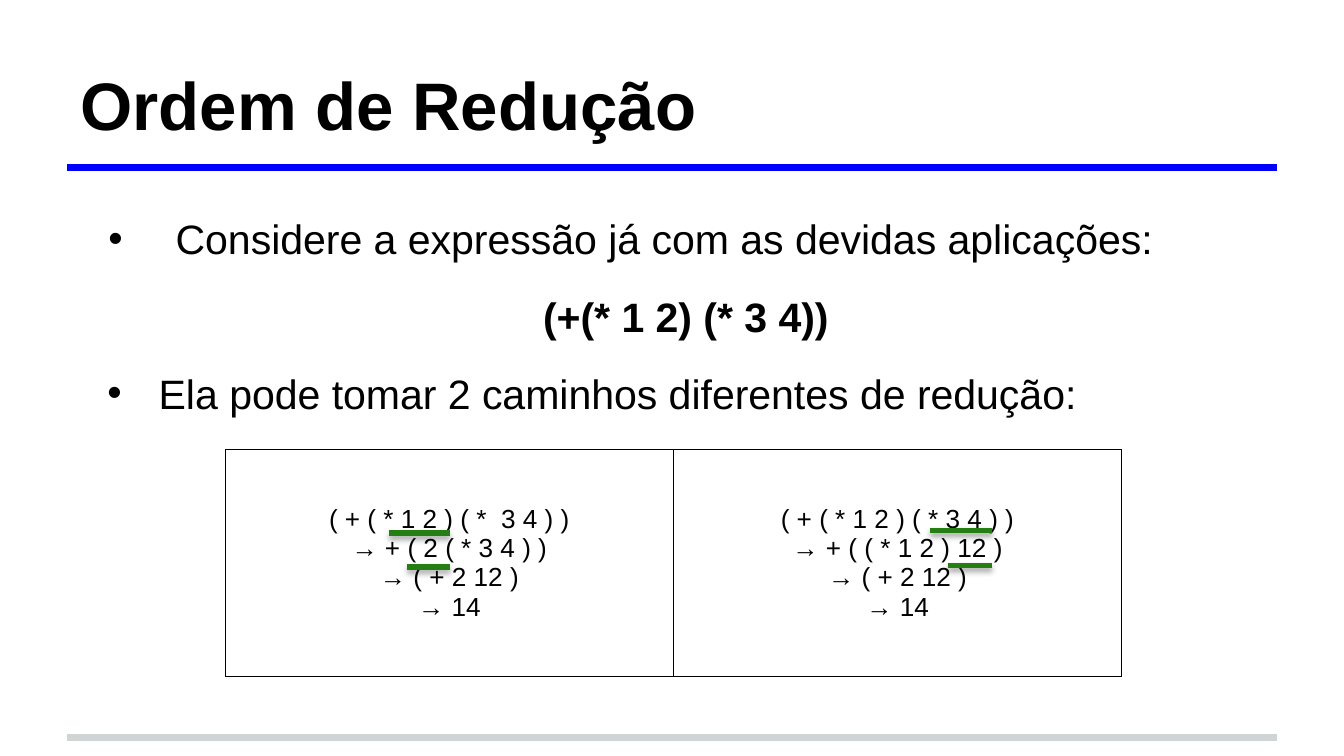
from lxml import etree
from pptx import Presentation
from pptx import util as u
from pptx.dml.color import RGBColor
from pptx.enum import shapes, text
from pptx.oxml import ns

BLACK = RGBColor(0x00, 0x00, 0x00)
BLUE = RGBColor(0x00, 0x00, 0xFF)
GREY = RGBColor(0xCF, 0xD4, 0xD4)
GREEN = RGBColor(0x25, 0x7E, 0x12)
FONT = "Arial"
LEFT, WIDTH = 1.27, 22.86


def add_node(parent, tag, **attributes):
    return etree.SubElement(parent, ns.qn(tag), attributes)


class SlideBuilder:
    def __init__(self, page):
        self.page = page

    def add_span(self, para, content, size, bold=False):
        span = para.add_run()
        span.text = content
        span.font.name = FONT
        span.font.size = u.Pt(size)
        span.font.bold = bold
        span.font.color.rgb = BLACK

    def frame(self, box, anchor):
        frame = box.text_frame
        frame.word_wrap = True
        frame.auto_size = text.MSO_AUTO_SIZE.NONE
        frame.vertical_anchor = anchor
        frame.margin_left = frame.margin_right = u.Cm(0.25)
        frame.margin_top = frame.margin_bottom = u.Cm(0.25)
        return frame

    def title(self, content, top, height):
        box = self.page.shapes.title
        box.left, box.top = u.Cm(LEFT), u.Cm(top)
        box.width, box.height = u.Cm(WIDTH), u.Cm(height)
        para = self.frame(box, text.MSO_ANCHOR.BOTTOM).paragraphs[0]
        para.alignment = text.PP_ALIGN.LEFT
        self.add_span(para, content, 36, True)

    def body(self, items, top, height):
        box = self.page.shapes.add_textbox(
            u.Cm(LEFT), u.Cm(top), u.Cm(WIDTH), u.Cm(height))
        frame = self.frame(box, text.MSO_ANCHOR.TOP)
        for index, (content, align, margin, indent, bold) in enumerate(items):
            para = frame.add_paragraph() if index else frame.paragraphs[0]
            para.alignment = align
            para.line_spacing = 1.5
            para.space_before = u.Pt(1.7)
            props = para._p.get_or_add_pPr()
            props.set("marL", str(u.Cm(margin)))
            props.set("indent", str(u.Cm(indent)))
            if indent:
                add_node(props, "a:buFont", typeface=FONT)
                add_node(props, "a:buChar", char="•")
            self.add_span(para, content, 22, bold)

    def border(self, cell):
        props = cell._tc.get_or_add_tcPr()
        for index, side in enumerate(("a:lnL", "a:lnR", "a:lnT", "a:lnB")):
            line = add_node(props, side, w=str(u.Pt(0.75)))
            fill = add_node(line, "a:solidFill")
            add_node(fill, "a:srgbClr", val=str(BLACK))
            props.insert(index, line)

    def table(self, columns, left, top, width, height):
        table = self.page.shapes.add_table(
            1, len(columns), u.Cm(left), u.Cm(top), u.Cm(width), u.Cm(height)).table
        table.first_row = table.horz_banding = False
        for cell, steps in zip(table.rows[0].cells, columns):
            cell.fill.background()
            cell.vertical_anchor = text.MSO_ANCHOR.MIDDLE
            self.border(cell)
            frame = cell.text_frame
            for index, step in enumerate(steps):
                para = frame.add_paragraph() if index else frame.paragraphs[0]
                para.alignment = text.PP_ALIGN.CENTER
                self.add_span(para, step, 14)

    def line(self, left, right, top, color, weight, shadow=False):
        line = self.page.shapes.add_connector(
            shapes.MSO_CONNECTOR.STRAIGHT,
            u.Cm(left), u.Cm(top), u.Cm(right), u.Cm(top))
        line.line.color.rgb = color
        line.line.width = u.Pt(weight)
        effects = add_node(line._element.spPr, "a:effectLst")
        if shadow:
            outer = add_node(effects, "a:outerShdw", blurRad=str(u.Pt(3.1)),
                             dist=str(u.Pt(1.8)), dir="5400000", rotWithShape="0")
            shade = add_node(outer, "a:srgbClr", val=str(BLACK))
            add_node(shade, "a:alpha", val="35000")


def main():
    deck = Presentation()
    deck.slide_width, deck.slide_height = u.Cm(25.4), u.Cm(14.29)
    slide = SlideBuilder(deck.slides.add_slide(deck.slide_layouts[5]))

    for top, color in ((13.94, GREY), (3.17, BLUE)):
        slide.line(LEFT, LEFT + WIDTH, top, color, 4)
    slide.title("Ordem de Redução", 0.58, 2.39)

    align = text.PP_ALIGN
    slide.body([
        ("Considere a expressão já com as devidas aplicações:",
         align.LEFT, 1.8, -1.27, False),
        ("(+(* 1 2) (* 3 4))", align.CENTER, 0.53, 0, True),
        ("Ela pode tomar 2 caminhos diferentes de redução:",
         align.JUSTIFY, 1.48, -0.97, False),
    ], 3.33, 10.34)

    ending = ["→ ( + 2 12 )", "→ 14"]
    slide.table([
        ["( + ( * 1 2 ) ( *  3 4 ) )", "→ + ( 2 ( * 3 4 ) )"] + ending,
        ["( + ( * 1 2 ) ( * 3 4 ) )", "→ + ( ( * 1 2 ) 12 )"] + ending,
    ], 4.26, 8.5, 16.94, 4.29)

    underlines = [(7.36, 8.51, 10.08), (7.7, 8.51, 10.72),
                  (17.58, 18.74, 10.03), (17.91, 18.74, 10.69)]
    for left, right, top in underlines:
        slide.line(left, right, top, GREEN, 3, shadow=True)

    deck.save("out.pptx")


if __name__ == "__main__":
    main()
